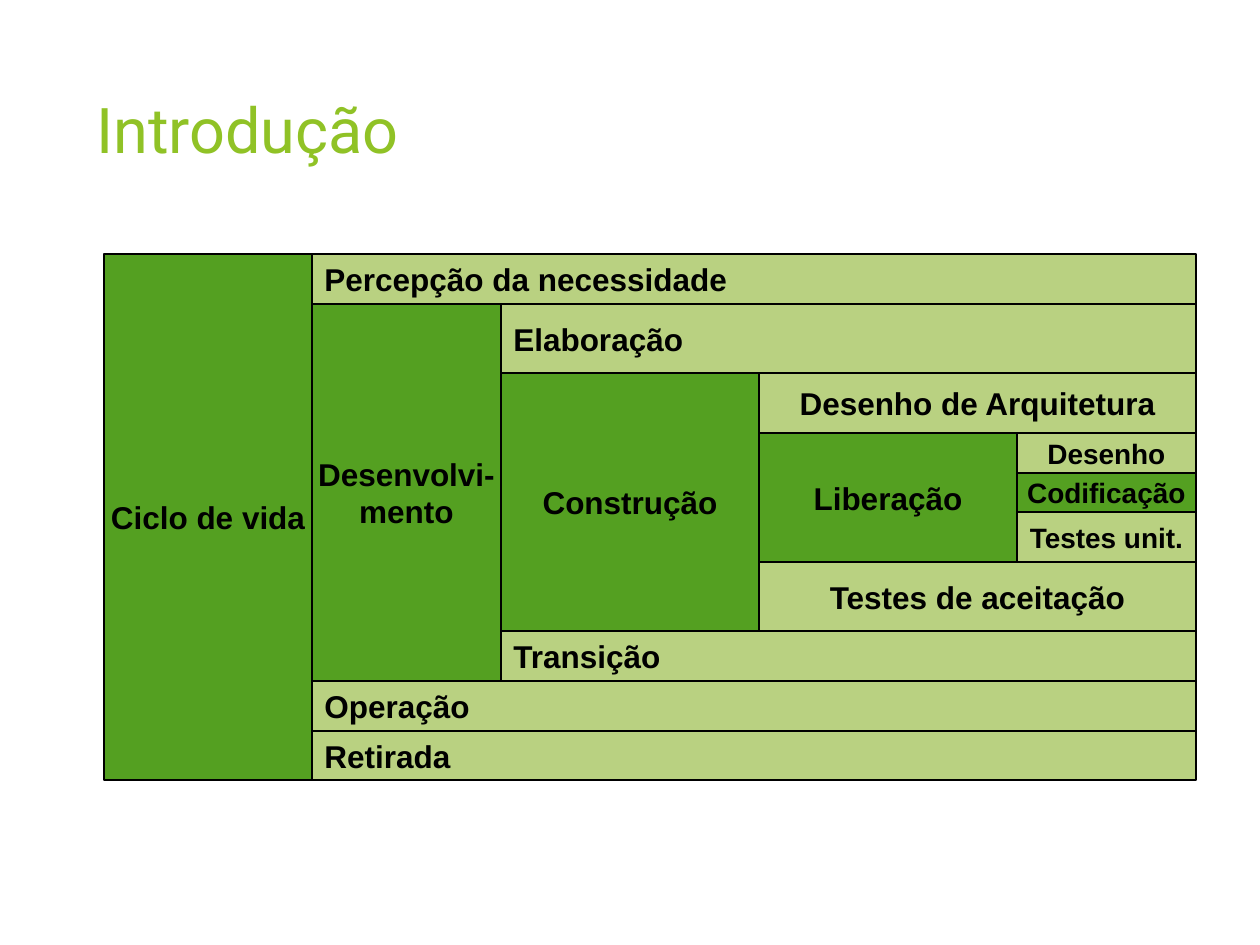
"""Build the slide that nests the software life cycle phases."""
from typing import NamedTuple

from pptx import Presentation
from pptx.dml.color import RGBColor
from pptx.enum.shapes import MSO_SHAPE as Shape
from pptx.enum.text import MSO_ANCHOR as Anchor, PP_ALIGN as Align
from pptx.util import Emu, Pt

EMU_PER_PX = 914400 / 126
DARK_GREEN = RGBColor(0x54, 0xA0, 0x21)
LIGHT_GREEN = RGBColor(0xB9, 0xD1, 0x81)
TITLE_GREEN = RGBColor(0x90, 0xC2, 0x26)
BLACK = RGBColor(0, 0, 0)

COLUMN_EDGES = (104, 312, 501, 759, 1017, 1196)
ROW_EDGES = (254, 304, 373, 433, 473, 512, 562, 631, 681, 731, 780)
LAST = len(COLUMN_EDGES) - 1


class Phase(NamedTuple):
    """A phase and the grid edges that bound it."""
    text: str
    left: int
    top: int
    right: int
    bottom: int
    fill: RGBColor = LIGHT_GREEN
    align: Align = Align.CENTER
    size: int = 18


PHASES = (
    Phase("Ciclo de vida", 0, 0, 1, 10, DARK_GREEN),
    Phase("Desenvolvi-\nmento", 1, 1, 2, 8, DARK_GREEN),
    Phase("Construção", 2, 2, 3, 7, DARK_GREEN),
    Phase("Liberação", 3, 3, 4, 6, DARK_GREEN),
    Phase("Codificação", 4, 4, LAST, 5, DARK_GREEN, size=16),
    Phase("Percepção da necessidade", 1, 0, LAST, 1, align=Align.LEFT),
    Phase("Elaboração", 2, 1, LAST, 2, align=Align.LEFT),
    Phase("Desenho de Arquitetura", 3, 2, LAST, 3),
    Phase("Testes de aceitação", 3, 6, LAST, 7),
    Phase("Transição", 2, 7, LAST, 8, align=Align.LEFT),
    Phase("Operação", 1, 8, LAST, 9, align=Align.LEFT),
    Phase("Retirada", 1, 9, LAST, 10, align=Align.LEFT),
    Phase("Desenho", 4, 3, LAST, 4, size=16),
    Phase("Testes unit.", 4, 5, LAST, 6, size=16),
)


def px(length: int) -> Emu:
    """Turn pixels into EMU."""
    return Emu(round(length * EMU_PER_PX))


def write(frame, text: str, align: Align, color: RGBColor, font_format: dict) -> None:
    """Write the text, one paragraph a line, in one format."""
    frame.text = text
    for para in frame.paragraphs:
        para.alignment = align
        for span in para.runs:
            span.font.color.rgb = color
            for name, value in font_format.items():
                setattr(span.font, name, value)


def draw_title(slide, text: str) -> None:
    """Draw the slide title."""
    box = slide.shapes.add_textbox(px(84), px(84), px(875), px(181))
    box.text_frame.word_wrap = True
    write(box.text_frame, text, Align.LEFT, TITLE_GREEN,
          {"name": "Roboto", "size": Pt(36)})


def draw_phase(slide, phase: Phase) -> None:
    """Draw a phase as a rectangle between its grid edges."""
    left, right = COLUMN_EDGES[phase.left], COLUMN_EDGES[phase.right]
    top, bottom = ROW_EDGES[phase.top], ROW_EDGES[phase.bottom]
    box = slide.shapes.add_shape(
        Shape.RECTANGLE, px(left), px(top), px(right - left), px(bottom - top))
    box.shadow.inherit = False
    box.fill.solid()
    box.fill.fore_color.rgb = phase.fill
    box.line.color.rgb = BLACK
    box.line.width = Pt(0.75)
    frame = box.text_frame
    frame.word_wrap = phase.align == Align.LEFT
    frame.vertical_anchor = Anchor.MIDDLE
    write(frame, phase.text, phase.align, BLACK,
          {"name": "Arial", "size": Pt(phase.size), "bold": True})


def main() -> None:
    """Build and save the deck."""
    deck = Presentation()
    deck.slide_width, deck.slide_height = px(1260), px(945)
    slide = deck.slides.add_slide(deck.slide_layouts[6])
    draw_title(slide, "Introdução")
    for phase in PHASES:
        draw_phase(slide, phase)
    deck.save("out.pptx")


if __name__ == "__main__":
    main()
